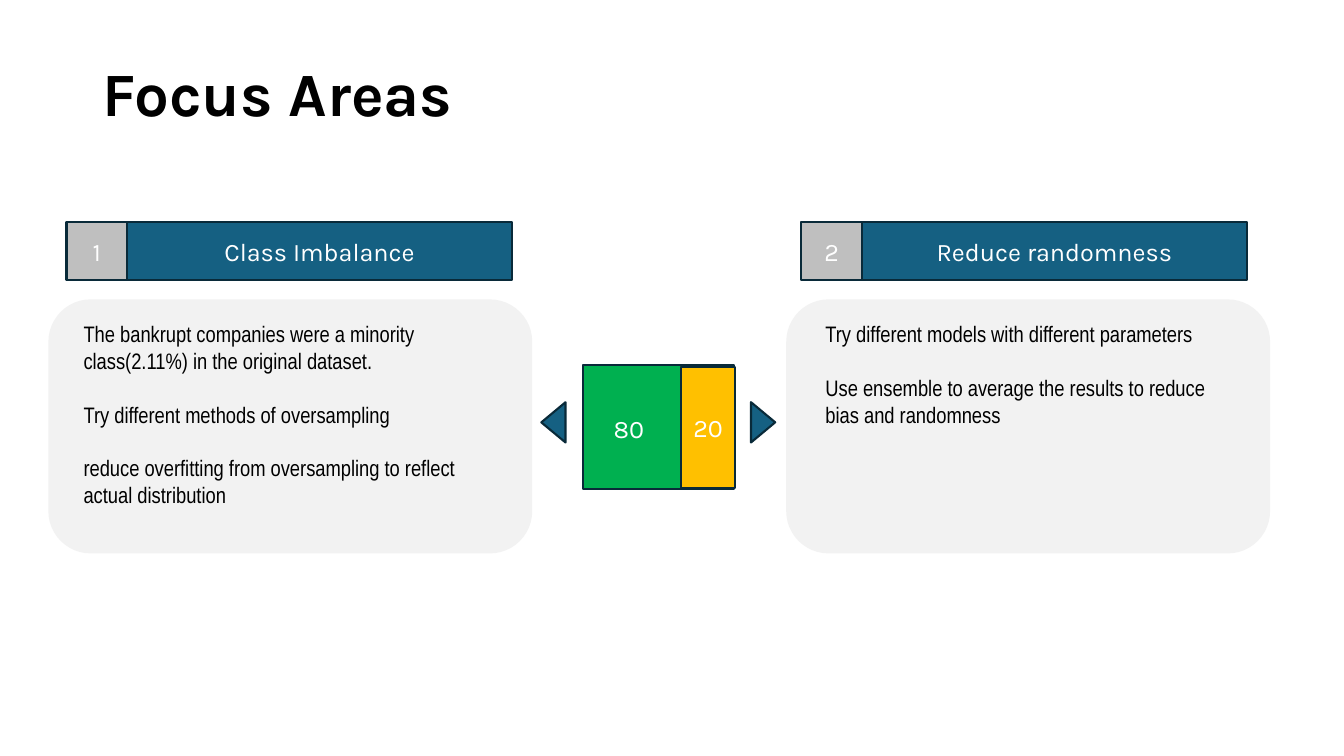
import pptx
import pptx.dml.color
import pptx.enum.shapes
import pptx.enum.text
import pptx.util

SLIDE_WIDTH = pptx.util.Inches(13.33)
SLIDE_HEIGHT = pptx.util.Inches(7.5)
SHAPES = pptx.enum.shapes.MSO_SHAPE
ALIGN = pptx.enum.text.PP_ALIGN
ANCHOR = pptx.enum.text.MSO_ANCHOR

BLUE = "156082"
OUTLINE = "092A39"
WHITE = "FFFFFF"
BLACK = "000000"

FOCUS_AREAS = [
    {
        "number": "1",
        "heading": "Class Imbalance",
        "points": [
            "The bankrupt companies were a minority class(2.11%) in the original dataset.",
            "Try different methods of oversampling",
            "reduce overfitting from oversampling to reflect actual distribution",
        ],
        "header_left": 4.95,
        "panel_left": 3.6,
        "points_left": 5.48,
        "points_height": 40.8,
    },
    {
        "number": "2",
        "heading": "Reduce randomness",
        "points": [
            "Try different models with different parameters",
            "Use ensemble to average the results to reduce bias and randomness",
        ],
        "header_left": 59.63,
        "panel_left": 58.5,
        "points_left": 60.68,
        "points_height": 22.93,
    },
]


def rgb(code):
    return pptx.dml.color.RGBColor.from_string(code)


def place(left, top, width, height):
    return (
        round(SLIDE_WIDTH * left / 100),
        round(SLIDE_HEIGHT * top / 100),
        round(SLIDE_WIDTH * width / 100),
        round(SLIDE_HEIGHT * height / 100),
    )


def write(frame, texts, size, font_name, color, anchor, align=ALIGN.LEFT, bold=False, gap=0):
    frame.word_wrap = True
    frame.vertical_anchor = anchor
    for index, text in enumerate(texts):
        paragraph = frame.paragraphs[0] if index == 0 else frame.add_paragraph()
        paragraph.text = text
        paragraph.alignment = align
        if index:
            paragraph.space_before = pptx.util.Pt(gap)
        paragraph.font.size = pptx.util.Pt(size)
        paragraph.font.name = font_name
        paragraph.font.bold = bold
        paragraph.font.color.rgb = rgb(color)


def add_block(slide, kind, area, fill, outline=OUTLINE, label=None):
    block = slide.shapes.add_shape(kind, *place(*area))
    block.shadow.inherit = False
    block.fill.solid()
    block.fill.fore_color.rgb = rgb(fill)
    if outline:
        block.line.color.rgb = rgb(outline)
        block.line.width = pptx.util.Pt(1.5)
    else:
        block.line.fill.background()
    if label:
        write(block.text_frame, [label], 18, "Karla", WHITE, ANCHOR.MIDDLE, ALIGN.CENTER)
    return block


def add_text(slide, area, texts, size, font_name, color, anchor=ANCHOR.TOP, **style):
    frame = slide.shapes.add_textbox(*place(*area)).text_frame
    write(frame, texts, size, font_name, color, anchor, **style)
    return frame


def add_focus_area(slide, area):
    top, height, number_width = 29.33, 7.73, 4.5
    left = area["header_left"]
    add_block(slide, SHAPES.RECTANGLE, (left + number_width, top, 28.65, height),
              BLUE, label=area["heading"])
    add_block(slide, SHAPES.RECTANGLE, (left, top, number_width, height),
              "BFBFBF", label=area["number"])
    add_block(slide, SHAPES.ROUNDED_RECTANGLE, (area["panel_left"], 39.6, 36, 33.6),
              "F2F2F2", outline=None)
    add_text(slide, (area["points_left"], 41.73, 32.1, area["points_height"]),
             area["points"], 16, "Arial Narrow", BLACK, gap=19)


def add_split(slide):
    add_block(slide, SHAPES.RECTANGLE, (43.35, 48.27, 11.25, 16.4), "00B050")
    add_block(slide, SHAPES.RECTANGLE, (50.7, 48.53, 3.98, 16), "FFC000", label="20")
    add_text(slide, (44.93, 54, 3.98, 5.33), ["80"], 18, "Karla", WHITE)
    for left, rotation in ((39.68, 270), (55.28, 90)):
        pointer = add_block(slide, SHAPES.ISOSCELES_TRIANGLE, (left, 54.27, 3, 3.2), BLUE)
        pointer.rotation = rotation


def main():
    deck = pptx.Presentation()
    deck.slide_width = SLIDE_WIDTH
    deck.slide_height = SLIDE_HEIGHT
    slide = deck.slides.add_slide(deck.slide_layouts[6])
    title = add_text(slide, (6.9, 5.33, 86.25, 14.93), ["Focus Areas"], 44, "Karla", BLACK,
                     ANCHOR.MIDDLE, bold=True)
    title.paragraphs[0].line_spacing = 0.9
    for area in FOCUS_AREAS:
        add_focus_area(slide, area)
    add_split(slide)
    deck.save("out.pptx")


if __name__ == "__main__":
    main()
